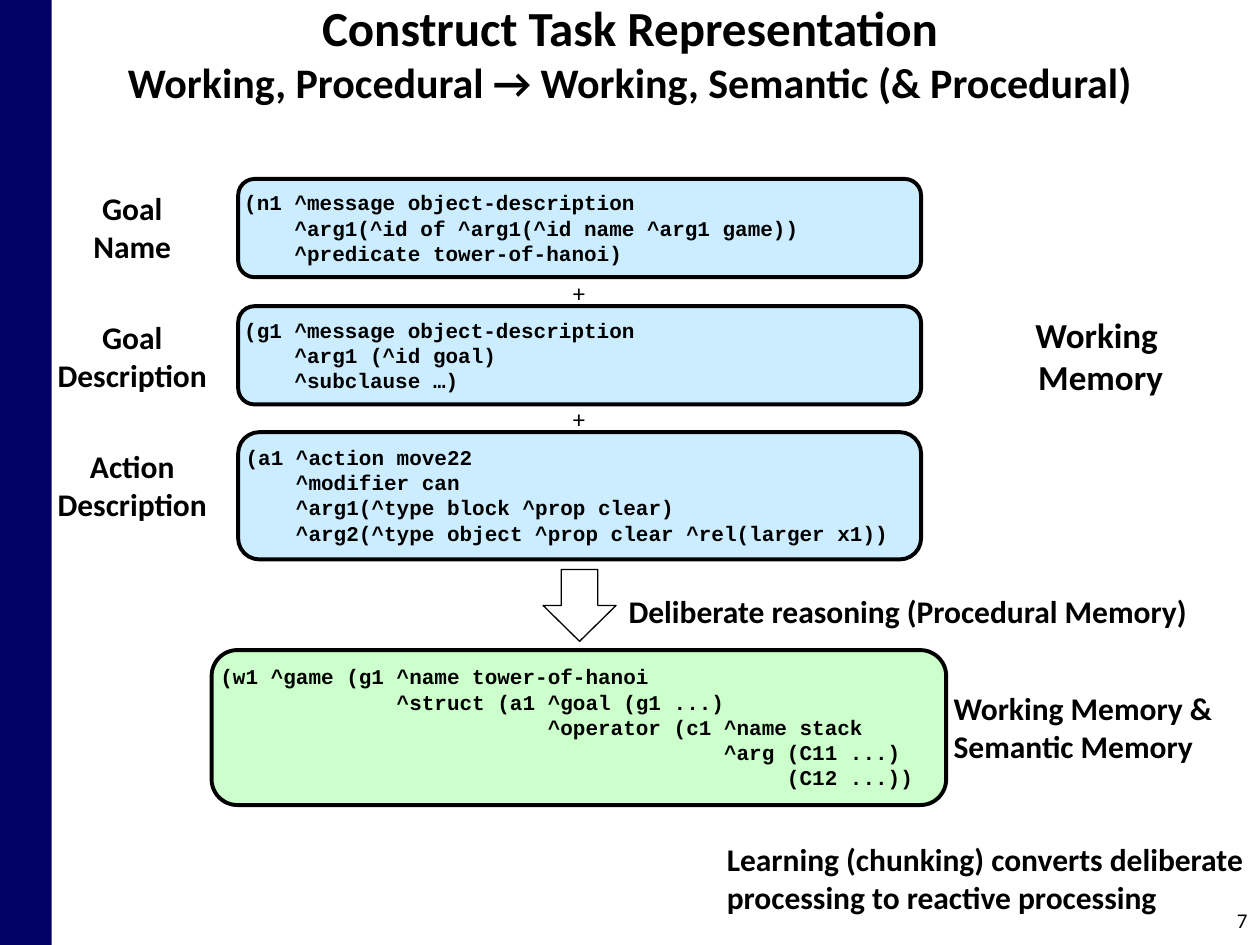
"""Build the slide on how a task representation is constructed from memory."""
from pptx import Presentation
from pptx import util as u
from pptx.dml.color import RGBColor
from pptx.enum import shapes, text

deck = Presentation()
deck.slide_width, deck.slide_height = u.Inches(10), u.Inches(7.5)
slide = deck.slides.add_slide(deck.slide_layouts[6])
col, row = deck.slide_width / 100, deck.slide_height / 75
kind, side, mid = shapes.MSO_SHAPE, text.PP_ALIGN, text.MSO_ANCHOR.MIDDLE


def draw(form, at, fill, line=None, width=0):
    x, y, w, h = at
    shape = slide.shapes.add_shape(form, int(x * col), int(y * row), int(w * col), int(h * row))
    shape.shadow.inherit = False
    shape.fill.solid()
    shape.fill.fore_color.rgb = RGBColor.from_string(fill)
    if line:
        shape.line.color.rgb = RGBColor.from_string(line)
        shape.line.width = u.Pt(width)
    else:
        shape.line.fill.background()
    return shape


def write(words, at=None, shape=None, size=18, bold=True, face="Calibri", align=side.LEFT,
          anchor=text.MSO_ANCHOR.TOP, wrap=True, inset=0.1):
    if shape is None:
        x, y, w, h = at
        shape = slide.shapes.add_textbox(int(x * col), int(y * row), int(w * col), int(h * row))
    frame = shape.text_frame
    frame.word_wrap = wrap
    frame.vertical_anchor = anchor
    frame.margin_left = frame.margin_right = u.Inches(inset)
    frame.text = words
    for para in frame.paragraphs:
        para.alignment = align
        for run in para.runs:
            run.font.size, run.font.bold, run.font.name = u.Pt(size), bold, face
            run.font.color.rgb = RGBColor.from_string("000000")
    return frame


draw(kind.RECTANGLE, (-0.1, 0, 4.2, 75), "000066")
title = write("Construct Task Representation\vWorking, Procedural → Working, Semantic (& Procedural)",
              (0, 0, 100, 8.3), size=24, align=side.CENTER, anchor=mid)
title.paragraphs[0].runs[0].font.size = u.Pt(28)
write("7", (76.7, 71, 23.3, 4), size=12, bold=False, align=side.RIGHT, anchor=mid)

blue, green = "CCECFF", "CCFFCC"
codes = [
    (18.9, 14.2, 54.2, 7.8, blue, """(n1 ^message object-description
    ^arg1(^id of ^arg1(^id name ^arg1 game))
    ^predicate tower-of-hanoi)"""),
    (18.9, 24.3, 54.2, 7.8, blue, """(g1 ^message object-description
    ^arg1 (^id goal)
    ^subclause …)"""),
    (18.9, 34.3, 54.2, 10.1, blue, """(a1 ^action move22
    ^modifier can
    ^arg1(^type block ^prop clear)
    ^arg2(^type object ^prop clear ^rel(larger x1))"""),
    (16.8, 51.6, 58.3, 12.3, green, """(w1 ^game (g1 ^name tower-of-hanoi
              ^struct (a1 ^goal (g1 ...)
                          ^operator (c1 ^name stack
                                        ^arg (C11 ...)
                                             (C12 ...))"""),
]
for *at, fill, code in codes:
    box = draw(kind.ROUNDED_RECTANGLE, at, fill, "000000", 2.25)
    write(code, shape=box, size=12, face="Courier New", inset=0.01)

for y in (21.6, 31.6):
    write("+", (43.1, y, 5.7, 3.4), size=14, bold=False, align=side.CENTER)
draw(kind.DOWN_ARROW, (43.1, 45.2, 5.8, 5.7), "FFFFFF", "000000", 0.75)

labels = ["Goal\nName", "Goal\nDescription", "Action\nDescription"]
for i, label in enumerate(labels):
    write(label, (3.5, 14.5 + 10.25 * i, 14, 7.1), align=side.CENTER, wrap=False)

write("Working \nMemory", (81.1, 24.4, 12.5, 7.7), size=20, align=side.CENTER, wrap=False)
write("Deliberate reasoning (Procedural Memory)", (48.9, 46, 47.5, 5), anchor=mid)
write("Working Memory &\nSemantic Memory", (74.7, 54.2, 22.7, 7.1), wrap=False)
write("Learning (chunking) converts deliberate processing to reactive processing",
      (56.7, 66.2, 44.2, 7.1))

deck.save("out.pptx")
